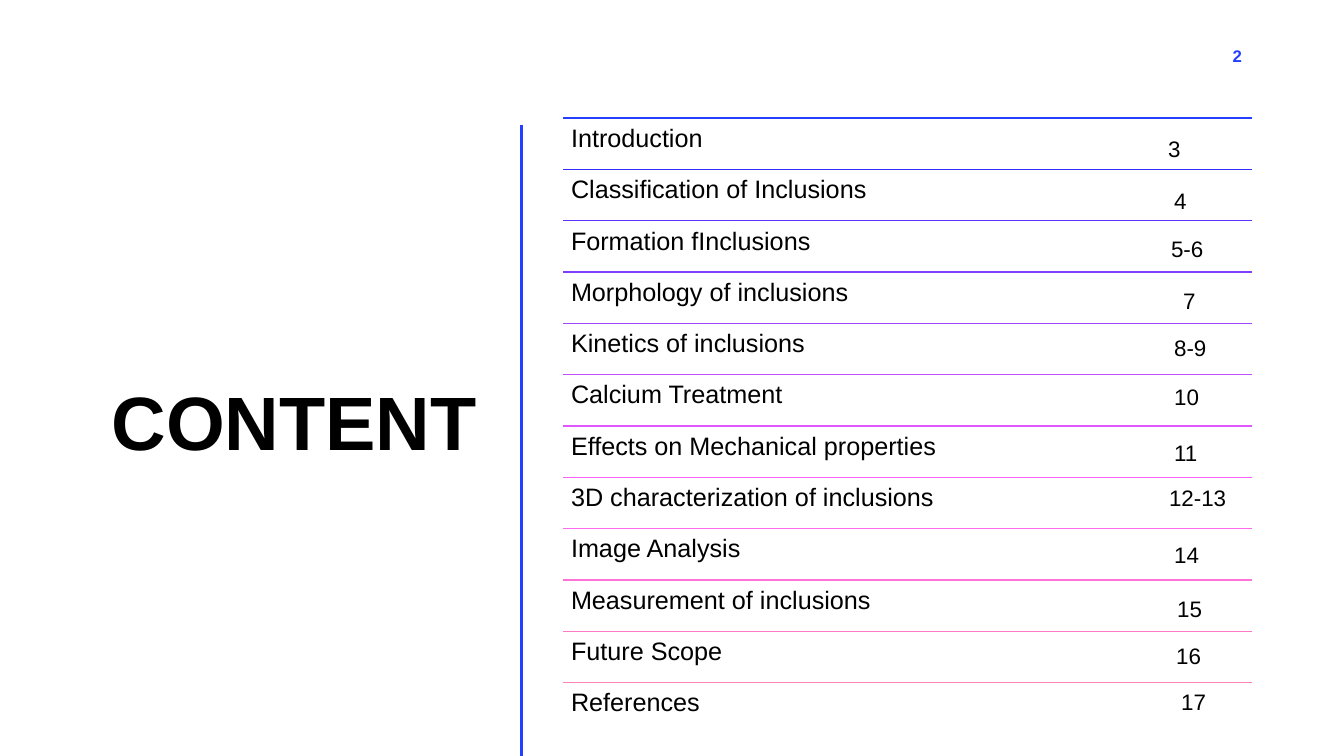
from dataclasses import dataclass

from lxml.etree import SubElement
from pptx import Presentation
from pptx.dml.color import RGBColor
from pptx.enum.shapes import MSO_CONNECTOR, MSO_SHAPE
from pptx.enum.text import MSO_ANCHOR, MSO_AUTO_SIZE, PP_ALIGN
from pptx.oxml.ns import qn
from pptx.slide import Slide
from pptx.util import Pt

WHITE = RGBColor(0xFF, 0xFF, 0xFF)
BLACK = RGBColor(0x00, 0x00, 0x00)
BLUE = RGBColor(0x24, 0x3F, 0xFF)

SLIDE_W, SLIDE_H = 960, 540
LIST_LEFT, LIST_TOP, LIST_W = 402.5, 84.3, 491.7
ROW_H = 36.66


@dataclass(frozen=True)
class Entry:
    title: str
    rule: RGBColor
    page: str
    page_left: float
    page_top: float
    page_width: float


ENTRIES = [
    Entry("Introduction", BLUE, "3", 827.3, 92.9, 25.2),
    Entry("Classification of Inclusions", RGBColor(0x33, 0x2D, 0xFF), "4", 831.6, 130.3, 25.2),
    Entry("Formation fInclusions", RGBColor(0x5B, 0x35, 0xFF), "5-6", 829.4, 164.2, 45.4),
    Entry("Morphology of inclusions", RGBColor(0x80, 0x3E, 0xFF), "7", 838.1, 201.6, 25.2),
    Entry("Kinetics of inclusions", RGBColor(0xA3, 0x47, 0xFF), "8-9", 831.6, 235.4, 43.9),
    Entry("Calcium Treatment", RGBColor(0xC2, 0x4F, 0xFF), "10", 831.6, 270, 35.3),
    Entry("Effects on Mechanical properties", RGBColor(0xDF, 0x58, 0xFF), "11", 831.6, 310.3, 35.3),
    Entry("3D characterization of inclusions", RGBColor(0xFA, 0x60, 0xFF), "12-13", 828, 342, 61.9),
    Entry("Image Analysis", RGBColor(0xFF, 0x69, 0xED), "14", 831.6, 383, 36),
    Entry("Measurement of inclusions", RGBColor(0xFF, 0x72, 0xD8), "15", 833.8, 421.9, 37.4),
    Entry("Future Scope", RGBColor(0xFF, 0x7A, 0xC6), "16", 833, 455, 37.4),
    Entry("References", RGBColor(0xFF, 0x83, 0xB6), "17", 836.6, 488.2, 37.4),
]


def add_text(
    s: Slide,
    text: str,
    left: float,
    top: float,
    width: float,
    height: float,
    *,
    size: float,
    color: RGBColor = BLACK,
    bold: bool = False,
    align: PP_ALIGN = PP_ALIGN.LEFT,
    anchor: MSO_ANCHOR = MSO_ANCHOR.TOP,
    line_spacing: float = 1.0,
    inset_x: float = 7.2,
    inset_y: float = 3.6,
    auto_size: MSO_AUTO_SIZE = MSO_AUTO_SIZE.NONE,
) -> None:
    sp = s.shapes.add_textbox(Pt(left), Pt(top), Pt(width), Pt(height))
    tf = sp.text_frame
    tf.word_wrap = True
    tf.auto_size = auto_size
    tf.vertical_anchor = anchor
    tf.margin_left = tf.margin_right = Pt(inset_x)
    tf.margin_top = tf.margin_bottom = Pt(inset_y)
    p = tf.paragraphs[0]
    p.alignment = align
    p.line_spacing = line_spacing
    r = p.add_run()
    r.text = text
    r.font.name = "Arial"
    r.font.size = Pt(size)
    r.font.bold = bold
    r.font.color.rgb = color


def add_line(
    s: Slide, x1: float, y1: float, x2: float, y2: float, color: RGBColor, weight: float
) -> None:
    line = s.shapes.add_connector(MSO_CONNECTOR.STRAIGHT, Pt(x1), Pt(y1), Pt(x2), Pt(y2))
    line.line.color.rgb = color
    line.line.width = Pt(weight)
    SubElement(line.element.spPr, qn("a:effectLst"))


def add_backdrop(s: Slide) -> None:
    sp = s.shapes.add_shape(MSO_SHAPE.RECTANGLE, Pt(0), Pt(0), Pt(SLIDE_W), Pt(SLIDE_H))
    sp.shadow.inherit = False
    sp.fill.solid()
    sp.fill.fore_color.rgb = WHITE
    sp.line.fill.background()


def add_entry(s: Slide, row: int, entry: Entry) -> None:
    top = LIST_TOP + row * ROW_H
    add_line(s, LIST_LEFT, top, LIST_LEFT + LIST_W, top, entry.rule, 1)
    add_text(s, entry.title, LIST_LEFT, top, LIST_W, ROW_H,
             size=18, line_spacing=0.9, inset_x=5.4, inset_y=5.4)
    add_text(s, entry.page, entry.page_left, entry.page_top, entry.page_width, 26.6,
             size=16, auto_size=MSO_AUTO_SIZE.SHAPE_TO_FIT_TEXT)


def main() -> None:
    prs = Presentation()
    prs.slide_width, prs.slide_height = Pt(SLIDE_W), Pt(SLIDE_H)
    s = prs.slides.add_slide(prs.slide_layouts[6])
    add_backdrop(s)
    add_text(s, "CONTENT", 37.4, 84.2, 310.3, 440, size=54, bold=True,
             align=PP_ALIGN.RIGHT, anchor=MSO_ANCHOR.MIDDLE, line_spacing=0.9)
    add_text(s, "2", 678.2, 25.2, 216, 28.8, size=12, color=BLUE, bold=True,
             align=PP_ALIGN.RIGHT, anchor=MSO_ANCHOR.MIDDLE)
    add_line(s, 372.4, 89, 372.4, SLIDE_H, BLUE, 2)
    for row, entry in enumerate(ENTRIES):
        add_entry(s, row, entry)
    prs.save("out.pptx")


if __name__ == "__main__":
    main()
